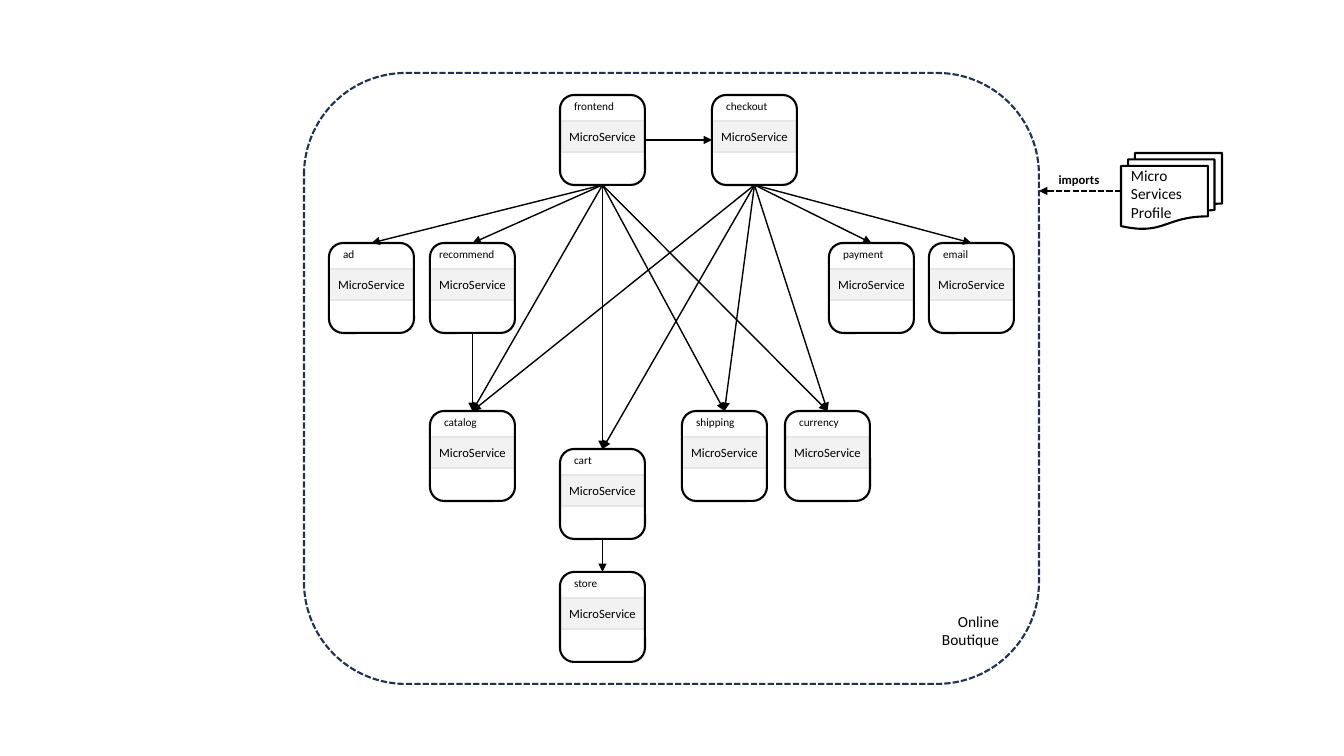
"""Draw the microservice map of an online boutique."""
from lxml import etree
from pptx import Presentation
from pptx.dml.color import RGBColor
from pptx.enum.dml import MSO_LINE
from pptx.enum.shapes import MSO_CONNECTOR, MSO_SHAPE
from pptx.enum.text import MSO_ANCHOR, PP_ALIGN
from pptx.oxml.ns import qn
from pptx.util import Pt

EMU_PER_PX = 12192000 / 1344
RECTANGLE = MSO_SHAPE.RECTANGLE
ROUNDED = MSO_SHAPE.ROUNDED_RECTANGLE
DOCUMENTS = MSO_SHAPE.FLOWCHART_MULTIDOCUMENT
STRAIGHT = MSO_CONNECTOR.STRAIGHT
DASHED = MSO_LINE.SQUARE_DOT
TOP, MIDDLE, BOTTOM = MSO_ANCHOR.TOP, MSO_ANCHOR.MIDDLE, MSO_ANCHOR.BOTTOM
LEFT, CENTER, RIGHT = PP_ALIGN.LEFT, PP_ALIGN.CENTER, PP_ALIGN.RIGHT
SITE_TOP, SITE_LEFT, SITE_BOTTOM, SITE_RIGHT = range(4)

CARD_WIDTH, CARD_HEIGHT = 85, 90
BAND_OFFSET, BAND_HEIGHT = 26, 31
ROWS = {
    95: {"frontend": 560, "checkout": 712},
    243: {"ad": 329, "recommend": 430, "payment": 829, "email": 929},
    411: {"catalog": 430, "shipping": 682, "currency": 785},
    449: {"cart": 560},
    572: {"store": 560},
}
CALLS = {
    "frontend": ["ad", "recommend", "catalog", "cart", "shipping", "currency"],
    "checkout": ["catalog", "cart", "shipping", "currency", "payment", "email"],
    "recommend": ["catalog"],
    "cart": ["store"],
}


def px(length):
    return round(length * EMU_PER_PX)


def color(value):
    return RGBColor.from_string(value)


class Diagram:
    """Hold the style and the slide on which the service map is drawn."""

    font = "Calibri"
    ink = "000000"
    band_fill = "F2F2F2"
    band_line = "E7E6E6"
    outline = 1.5

    def __init__(self, slide):
        self.slide = slide

    def shape(self, kind, box, parent=None, fill=None, line=None, dash=None):
        shapes = (parent or self.slide).shapes
        shape = shapes.add_shape(kind, *map(px, box))
        shape.shadow.inherit = False
        if fill:
            shape.fill.solid()
            shape.fill.fore_color.rgb = color(fill)
        else:
            shape.fill.background()
        if line:
            shape.line.color.rgb = color(line)
            shape.line.width = Pt(self.outline)
            if dash:
                shape.line.dash_style = dash
        else:
            shape.line.fill.background()
        return shape

    def text(self, shape, lines, size, align=LEFT, anchor=TOP,
             insets=(10, 5, 10, 5), bold=False):
        frame = shape.text_frame
        frame.word_wrap = True
        frame.vertical_anchor = anchor
        (frame.margin_left, frame.margin_top,
         frame.margin_right, frame.margin_bottom) = map(px, insets)
        frame.text = "\n".join(lines)
        for paragraph in frame.paragraphs:
            paragraph.alignment = align
            paragraph.font.name = self.font
            paragraph.font.size = Pt(size)
            paragraph.font.bold = bold
            paragraph.font.color.rgb = color(self.ink)

    def card(self, name, left, top):
        group = self.slide.shapes.add_group_shape()
        band = self.shape(
            RECTANGLE, (left, top + BAND_OFFSET, CARD_WIDTH, BAND_HEIGHT),
            group, self.band_fill, self.band_line)
        self.text(band, ["MicroService"], 9, CENTER, MIDDLE, (0, 5, 0, 5))
        frame = self.shape(ROUNDED, (left, top, CARD_WIDTH, CARD_HEIGHT),
                           group, line=self.ink)
        inset = 5 if name == "recommend" else 10
        self.text(frame, [name], 8, insets=(inset, 0, 10, 5))
        return frame

    def arrow(self, start=(0, 0), end=(0, 0), width=1, dash=None):
        connector = self.slide.shapes.add_connector(
            STRAIGHT, *map(px, (*start, *end)))
        line = connector.line
        line.color.rgb = color(self.ink)
        line.width = Pt(width)
        if dash:
            line.dash_style = dash
        properties = connector.element.spPr
        outline = properties.find(qn("a:ln"))
        etree.SubElement(outline, qn("a:tailEnd"), type="triangle")
        etree.SubElement(properties, qn("a:effectLst"))
        return connector

    def link(self, source, target, begin=SITE_BOTTOM, end=SITE_TOP):
        connector = self.arrow()
        connector.begin_connect(source, begin)
        connector.end_connect(target, end)


def main():
    presentation = Presentation()
    presentation.slide_width, presentation.slide_height = px(1344), px(756)
    slide = presentation.slides.add_slide(presentation.slide_layouts[6])
    diagram = Diagram(slide)

    imports = diagram.arrow((1121, 191), (1039, 191), diagram.outline, DASHED)
    label = diagram.shape(RECTANGLE, (1050, 172, 58, 15), fill="FFFFFF")
    diagram.text(label, ["imports"], 9, CENTER, insets=(0, 0, 0, 0), bold=True)

    boutique = diagram.shape(ROUNDED, (304, 73, 735, 611),
                             line="1E3256", dash=DASHED)
    diagram.text(boutique, ["Online", "Boutique"], 11, RIGHT, BOTTOM)

    cards = {name: diagram.card(name, left, top)
             for top, row in ROWS.items() for name, left in row.items()}
    for source, targets in CALLS.items():
        for target in targets:
            diagram.link(cards[source], cards[target])
    diagram.link(cards["frontend"], cards["checkout"], SITE_RIGHT, SITE_LEFT)

    profile = diagram.shape(DOCUMENTS, (1121, 153, 101, 76), line=diagram.ink)
    diagram.text(profile, ["Micro", "Services Profile"], 11,
                 insets=(10, 0, 0, 5))
    imports.begin_connect(profile, SITE_LEFT)

    presentation.save("out.pptx")


if __name__ == "__main__":
    main()
